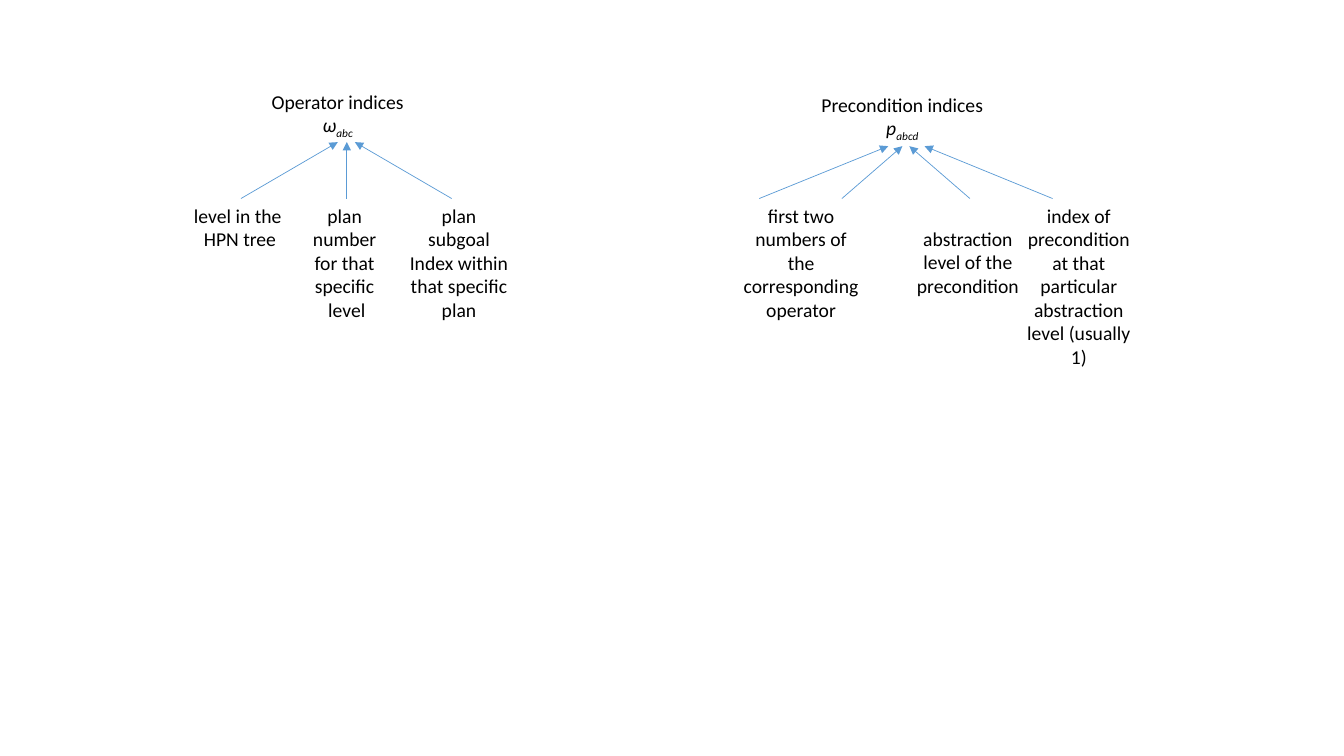
from lxml import etree
from pptx import Presentation
from pptx import util as u
from pptx.dml.color import RGBColor
from pptx.enum import shapes, text
from pptx.oxml.ns import qn

BLACK = RGBColor(0x00, 0x00, 0x00)
BLUE = RGBColor(0x5B, 0x9B, 0xD5)


class Deck:
    """Holds the text and line style, the slide and the group being filled."""

    def __init__(self, slide, font="Calibri", size=14):
        self.slide, self.font, self.size = slide, font, size
        self.group = None

    def start(self):
        self.group = self.slide.shapes.add_group_shape()

    def run(self, para, words, italic=False, base=None):
        run = para.add_run()
        run.text = words
        run.font.name = self.font
        run.font.size = u.Pt(self.size)
        run.font.color.rgb = BLACK
        if italic:
            run.font.italic = True
        if base:
            run.font._element.set("baseline", str(base * 1000))

    def frame(self, box, wrap):
        area = self.group.shapes.add_textbox(*map(u.Inches, box))
        body = area.text_frame
        body.word_wrap = wrap
        body.auto_size = text.MSO_AUTO_SIZE.SHAPE_TO_FIT_TEXT
        return body

    def para(self, body, first):
        para = body.paragraphs[0] if first else body.add_paragraph()
        para.alignment = text.PP_ALIGN.CENTER
        return para

    def head(self, box, title, symbol, index):
        body = self.frame(box, True)
        self.run(self.para(body, True), title)
        para = self.para(body, False)
        self.run(para, symbol, italic=True)
        self.run(para, index, italic=True, base=-25)

    def label(self, box, lines, wrap):
        body = self.frame(box, wrap)
        for num, line in enumerate(lines):
            self.run(self.para(body, num == 0), line)

    def arrow(self, start, end):
        ends = map(u.Inches, (*start, *end))
        line = self.group.shapes.add_connector(shapes.MSO_CONNECTOR.STRAIGHT, *ends)
        line.line.color.rgb = BLUE
        line.line.width = u.Pt(0.5)
        tail = etree.SubElement(line.line._get_or_add_ln(), qn("a:tailEnd"))
        tail.set("type", "triangle")
        etree.SubElement(line._element.spPr, qn("a:effectLst"))


TOP = 1.97
TREES = [
    (
        ((2.48, 0.84, 1.74, 0.57), "Operator indices", "ω", "abc"),
        1.41,
        [(2.39, 3.35), (3.44, 3.44), (4.48, 3.52)],
        False,
        [
            ((1.82, TOP, 1.12, 0.57), ["level in the ", "HPN tree"]),
            ((3, TOP, 0.88, 1.28), ["plan ", "number ", "for that ", "specific ", "level"]),
            ((3.96, TOP, 1.23, 1.28),
             ["plan ", "subgoal ", "Index within ", "that specific ", "plan "]),
        ],
    ),
    (
        ((7.96, 0.87, 1.98, 0.57), "Precondition indices", "p", "abcd"),
        1.45,
        [(7.53, 8.81), (8.35, 8.95), (10.44, 9.17), (9.62, 9.02)],
        True,
        [
            ((7.24, TOP, 1.41, 1.28), ["first two numbers of the corresponding operator"]),
            ((8.95, TOP + 0.23, 1.3, 0.81), ["abstraction level of the precondition"]),
            ((10.05, TOP, 1.3, 1.75),
             ["index of precondition at that particular abstraction level (usually 1)"]),
        ],
    ),
]

show = Presentation()
show.slide_width, show.slide_height = u.Inches(13.33), u.Inches(7.5)
deck = Deck(show.slides.add_slide(show.slide_layouts[6]))
for head, tip, spans, wrap, labels in TREES:
    deck.start()
    deck.head(*head)
    for low, high in spans:
        deck.arrow((low, TOP), (high, tip))
    for box, lines in labels:
        deck.label(box, lines, wrap)
show.save("out.pptx")
